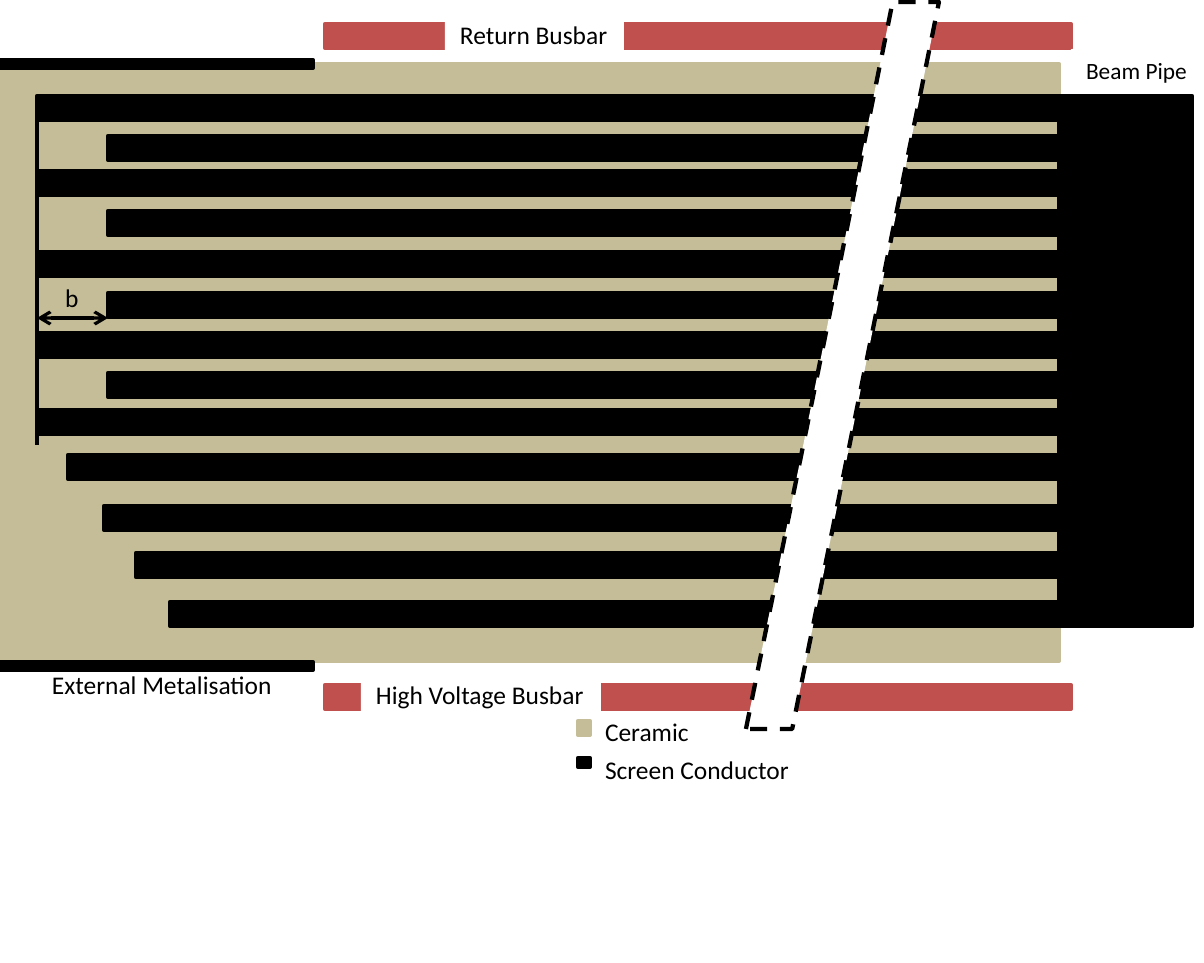
from dataclasses import dataclass
from typing import Optional

from lxml.etree import SubElement
from pptx import Presentation
from pptx.dml.color import RGBColor
from pptx.enum.dml import MSO_LINE_DASH_STYLE as Dash
from pptx.enum.shapes import MSO_CONNECTOR, MSO_SHAPE
from pptx.enum.text import MSO_AUTO_SIZE as AutoSize
from pptx.oxml.ns import qn
from pptx.util import Pt

EMU_PER_PIXEL = 914400 / 152.8
FONT = "Calibri"
BLACK = RGBColor(0x00, 0x00, 0x00)
WHITE = RGBColor(0xFF, 0xFF, 0xFF)
CERAMIC = RGBColor(0xC4, 0xBD, 0x97)
BUSBAR = RGBColor(0xC0, 0x50, 0x4D)

SCREEN_LEFT, SHORT_LEFT, PIPE_LEFT = 37, 108, 1059
BAR_HEIGHT = 24
FINGER_TOPS = (96, 136, 171, 211, 252, 293, 333, 373, 410)
STAGGERED = ((68, 455), (104, 506), (136, 553), (170, 602))
STAGGERED_WIDTH = 1021


@dataclass(frozen=True)
class Block:
    left: int
    top: int
    width: int
    height: int
    color: RGBColor = BLACK


@dataclass(frozen=True)
class Label:
    text: str
    left: int
    top: int
    width: int
    height: int = 46
    size: int = 12
    fill: Optional[RGBColor] = None


def px(pixels: int) -> int:
    return round(pixels * EMU_PER_PIXEL)


def draw_block(slide, block: Block, kind=MSO_SHAPE.RECTANGLE, line_color=None):
    shape = slide.shapes.add_shape(
        kind, px(block.left), px(block.top), px(block.width), px(block.height))
    shape.shadow.inherit = False
    shape.fill.solid()
    shape.fill.fore_color.rgb = block.color
    shape.line.color.rgb = block.color if line_color is None else line_color
    shape.line.width = Pt(2)
    return shape


def draw_line(slide, start: tuple[int, int], end: tuple[int, int], arrows: bool = False):
    connector = slide.shapes.add_connector(
        MSO_CONNECTOR.STRAIGHT, *map(px, start + end))
    connector.line.color.rgb = BLACK
    connector.line.width = Pt(1.5)
    properties = connector._element.spPr
    if arrows:
        line = properties.find(qn("a:ln"))
        for tag in ("a:headEnd", "a:tailEnd"):
            SubElement(line, qn(tag), type="arrow")
    SubElement(properties, qn("a:effectLst"))


def write_text(frame, text: str, *, size: int, color: RGBColor = BLACK, font: str = FONT):
    frame.word_wrap = False
    frame.auto_size = AutoSize.SHAPE_TO_FIT_TEXT
    run = frame.paragraphs[0].add_run()
    run.text = text
    run.font.name = font
    run.font.size = Pt(size)
    run.font.color.rgb = color


def draw_label(slide, label: Label):
    shape = slide.shapes.add_textbox(
        px(label.left), px(label.top), px(label.width), px(label.height))
    if label.fill is not None:
        shape.fill.solid()
        shape.fill.fore_color.rgb = label.fill
    write_text(shape.text_frame, label.text, size=label.size)


def draw_fingers(slide):
    for index, top in enumerate(FINGER_TOPS):
        left = SHORT_LEFT if index % 2 else SCREEN_LEFT
        draw_block(slide, Block(left, top, PIPE_LEFT - left, BAR_HEIGHT))
    for left, top in STAGGERED:
        draw_block(slide, Block(left, top, STAGGERED_WIDTH, BAR_HEIGHT))


def draw_break(slide):
    shape = draw_block(slide, Block(746, 2, 193, 727, WHITE),
                       MSO_SHAPE.PARALLELOGRAM, BLACK)
    shape.adjustments[0] = 0.76
    shape.line.dash_style = Dash.DASH


BUSBARS = [Block(325, top, 746, BAR_HEIGHT, BUSBAR) for top in (24, 685)]
METALISATION = [Block(0, top, 313, 8) for top in (60, 662)]
BEAM_PIPE = Block(PIPE_LEFT, 96, 133, 530)
LEGEND_KEYS = [Block(578, 721, 12, 14, CERAMIC), Block(578, 758, 12, 9)]
LABELS = [
    Label("Return Busbar", 445, 12, 179, fill=WHITE),
    Label("High Voltage Busbar", 361, 672, 240, fill=WHITE),
    Label("Ceramic", 590, 709, 116),
    Label("Screen Conductor", 590, 747, 217),
    Label("Beam Pipe", 1071, 49, 133, 44, size=11, fill=WHITE),
    Label("External Metalisation", SCREEN_LEFT, 662, 254),
    Label("b", 50, 275, 44),
]

presentation = Presentation()
presentation.slide_width = px(1204)
presentation.slide_height = px(963)
slide = presentation.slides.add_slide(presentation.slide_layouts[6])

draw_block(slide, Block(0, 64, PIPE_LEFT, 597, CERAMIC))
draw_fingers(slide)
draw_line(slide, (SCREEN_LEFT, 108), (SCREEN_LEFT, 445))
draw_line(slide, (SCREEN_LEFT, 318), (SHORT_LEFT, 318), arrows=True)
for block in [*BUSBARS, BEAM_PIPE, *METALISATION, *LEGEND_KEYS]:
    draw_block(slide, block)
for label in LABELS:
    draw_label(slide, label)
draw_break(slide)

presentation.save("out.pptx")
